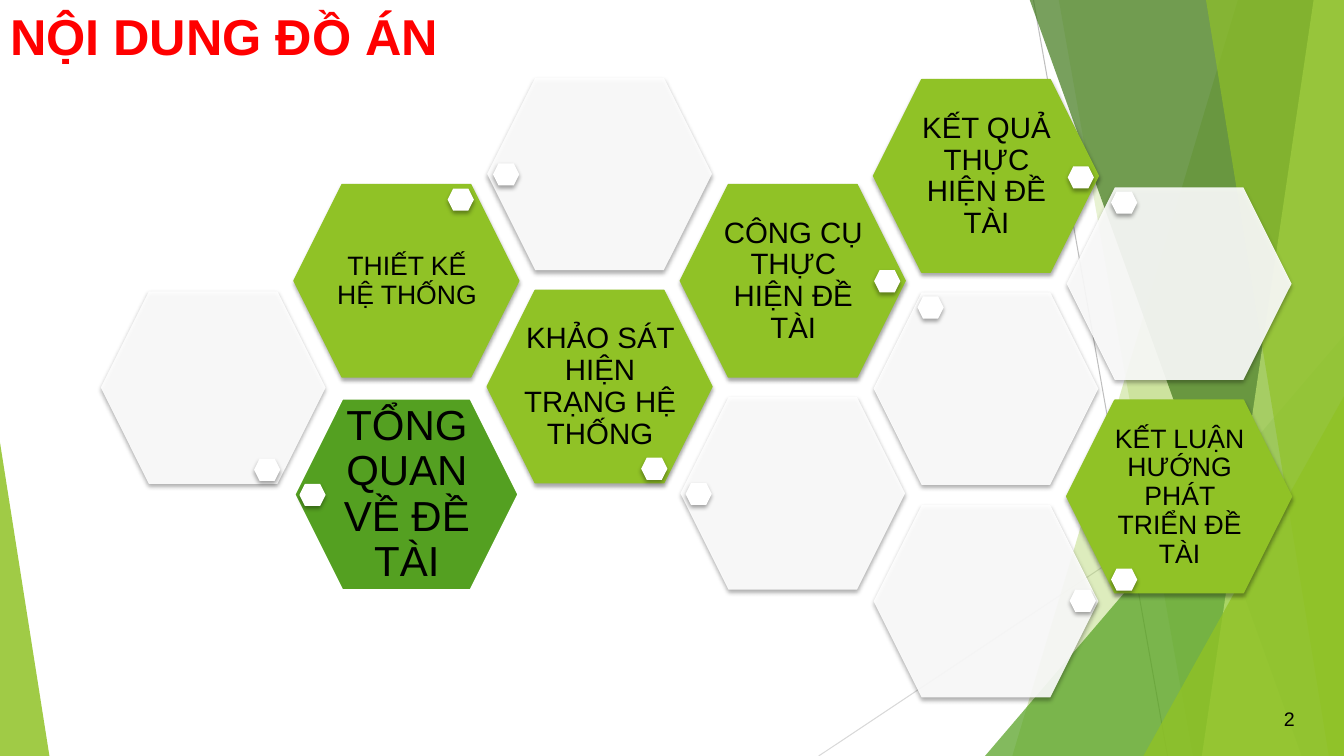
"""Builds the contents slide: a honeycomb of topics beside green facets."""
from dataclasses import dataclass
from typing import Optional

from lxml.etree import SubElement
from pptx import Presentation
from pptx.dml.color import RGBColor
from pptx.enum.shapes import MSO_CONNECTOR, MSO_SHAPE
from pptx.enum.text import MSO_ANCHOR as Anchor, PP_ALIGN as Align
from pptx.oxml.ns import qn
from pptx.util import Pt

PX = 9144
FONT = "Arial"
WHITE, BLACK, RED = "FFFFFF", "000000", "FF0000"
LIME, GREEN, FOREST, PALE = "90C226", "54A021", "3F7819", "C0E474"
CELL_W, CELL_H, FIRST_LEFT, COLUMN_STEP = 223, 191, 100, 191.6
DOT_W, DOT_H = 26, 22


@dataclass
class Ray:
    start: tuple[int, int]
    end: tuple[int, int]
    color: str


@dataclass
class Facet:
    """A polygon in the side decoration, opacity in percent."""
    points: list[tuple[int, int]]
    color: str
    opacity: int


@dataclass
class Wedge:
    """A triangle whose tip sits at the given share of its width."""
    left: int
    top: int
    width: int
    height: int
    tip: int
    color: str
    opacity: int


@dataclass
class Cell:
    """A honeycomb cell with its small dot; a cell without topic is pale."""
    column: int
    top: int
    dot: tuple[int, int]
    topic: str = ""
    size: int = 21
    fill: str = LIME
    edge: str = LIME
    edge_width: int = 1
    shadow: bool = True


RAYS = [
    Ray((1025, 0), (1158, 750), "BFBFBF"),
    Ray((1333, 403), (812, 750), "D9D9D9"),
]


def side_facet(top_left: int, bottom_left: int, color: str, opacity: int) -> Facet:
    """Return a facet that reaches the right edge of the slide."""
    corners = [(top_left, -1), (1333, -1), (1333, 750), (bottom_left, 750)]
    return Facet(corners, color, opacity)


DECORATION = [
    side_facet(1228, 1004, LIME, 30),
    side_facet(1050, 1183, LIME, 20),
    Wedge(977, 333, 356, 417, 1, GREEN, 72),
    side_facet(1021, 1291, FOREST, 70),
    side_facet(1303, 1192, PALE, 70),
    side_facet(1196, 1318, LIME, 65),
    Wedge(1134, 393, 199, 357, 1, LIME, 80),
    Wedge(0, 439, 49, 311, 0, LIME, 85),
]

CELLS = [
    Cell(1, 395, (297, 480), "TỔNG QUAN VỀ ĐỀ TÀI", 30, GREEN, WHITE, 2, False),
    Cell(0, 289, (252, 455)),
    Cell(2, 288, (636, 454), "KHẢO SÁT HIỆN TRẠNG HỆ THỐNG"),
    Cell(3, 394, (680, 479)),
    Cell(1, 183, (444, 187), "THIẾT KẾ HỆ THỐNG", 19),
    Cell(2, 77, (489, 162)),
    Cell(3, 183, (867, 268), "CÔNG CỤ THỰC HIỆN ĐỀ TÀI"),
    Cell(4, 290, (910, 294)),
    Cell(4, 79, (1059, 165), "KẾT QUẢ THỰC HIỆN ĐỀ TÀI"),
    Cell(5, 186, (1102, 190)),
    Cell(5, 397, (1102, 564), "KẾT LUẬN HƯỚNG PHÁT TRIỂN ĐỀ TÀI", 19),
    Cell(4, 501, (1061, 585)),
]


def rgb(color: str) -> RGBColor:
    """Turn a hex string into a colour."""
    return RGBColor.from_string(color)


def emu(*lengths: float) -> list[int]:
    """Turn px lengths into EMU."""
    return [round(length * PX) for length in lengths]


def paint(shape, color: str, opacity: int = 100) -> None:
    """Give a shape a flat fill with no line and no shadow."""
    shape.shadow.inherit = False
    shape.line.fill.background()
    shape.fill.solid()
    shape.fill.fore_color.rgb = rgb(color)
    if opacity < 100:
        tint = shape._element.spPr.find(qn("a:solidFill"))[0]
        SubElement(tint, qn("a:alpha"), val=str(opacity * 1000))


def cast_shadow(shape) -> None:
    """Add a soft shadow just below a shape."""
    effects = shape._element.spPr.find(qn("a:effectLst"))
    shadow = SubElement(effects, qn("a:outerShdw"), blurRad=str(Pt(3)),
                        dist=str(Pt(2)), dir="5400000", rotWithShape="0")
    tint = SubElement(shadow, qn("a:srgbClr"), val=BLACK)
    SubElement(tint, qn("a:alpha"), val="35000")


def write(frame, text: str, size: int, color: str, align: Align,
          bold: bool = False) -> None:
    """Write one formatted paragraph into a text frame."""
    frame.text = text
    frame.word_wrap = True
    paragraph = frame.paragraphs[0]
    paragraph.alignment = align
    font = paragraph.runs[0].font
    font.name, font.size, font.bold = FONT, Pt(size), bold
    font.color.rgb = rgb(color)


def draw_ray(shapes, ray: Ray) -> None:
    """Draw one thin line of the decoration."""
    line = shapes.add_connector(MSO_CONNECTOR.STRAIGHT, *emu(*ray.start, *ray.end))
    line.line.color.rgb = rgb(ray.color)
    line.line.width = Pt(0.75)
    SubElement(line._element.spPr, qn("a:effectLst"))


def draw_facet(shapes, facet: Facet) -> None:
    """Draw one polygon of the decoration."""
    builder = shapes.build_freeform(*facet.points[0], scale=PX)
    builder.add_line_segments(facet.points[1:])
    paint(builder.convert_to_shape(), facet.color, facet.opacity)


def draw_wedge(shapes, wedge: Wedge) -> None:
    """Draw one triangle of the decoration."""
    box = emu(wedge.left, wedge.top, wedge.width, wedge.height)
    triangle = shapes.add_shape(MSO_SHAPE.ISOSCELES_TRIANGLE, *box)
    triangle.adjustments[0] = wedge.tip
    paint(triangle, wedge.color, wedge.opacity)


def draw_cell(shapes, cell: Cell) -> None:
    """Draw a honeycomb cell, its topic and its dot."""
    left = FIRST_LEFT + COLUMN_STEP * cell.column
    hexagon = shapes.add_shape(MSO_SHAPE.HEXAGON, *emu(left, cell.top, CELL_W, CELL_H))
    if cell.topic:
        paint(hexagon, cell.fill)
        hexagon.line.color.rgb = rgb(cell.edge)
        hexagon.line.width = Pt(cell.edge_width)
        label = shapes.add_textbox(*emu(left + 35, cell.top + 30, 154, 132))
        frame = label.text_frame
        write(frame, cell.topic, cell.size, BLACK, Align.CENTER)
        frame.paragraphs[0].line_spacing = 0.9
        frame.vertical_anchor = Anchor.MIDDLE
        frame.margin_left = frame.margin_right = 0
        frame.margin_top = frame.margin_bottom = 3 * PX
    else:
        paint(hexagon, WHITE, 90)
    if cell.shadow:
        cast_shadow(hexagon)
    dot = shapes.add_shape(MSO_SHAPE.HEXAGON, *emu(*cell.dot, DOT_W, DOT_H))
    paint(dot, WHITE)
    cast_shadow(dot)


def main() -> None:
    """Build the slide and save it."""
    deck = Presentation()
    deck.slide_width, deck.slide_height = emu(1333, 750)
    slide = deck.slides.add_slide(deck.slide_layouts[5])
    shapes = slide.shapes
    for ray in RAYS:
        draw_ray(shapes, ray)
    for part in DECORATION:
        if isinstance(part, Wedge):
            draw_wedge(shapes, part)
        else:
            draw_facet(shapes, part)
    title = shapes.title
    title.left, title.top, title.width, title.height = emu(0, 0, 940, 89)
    write(title.text_frame, "NỘI DUNG ĐỒ ÁN", 36, RED, Align.LEFT, True)
    title.text_frame.vertical_anchor = Anchor.TOP
    for cell in CELLS:
        draw_cell(shapes, cell)
    page_number = shapes.add_textbox(*emu(1219, 693, 75, 40)).text_frame
    write(page_number, "2", 14, BLACK, Align.RIGHT)
    page_number.vertical_anchor = Anchor.MIDDLE
    deck.save("out.pptx")


if __name__ == "__main__":
    main()
